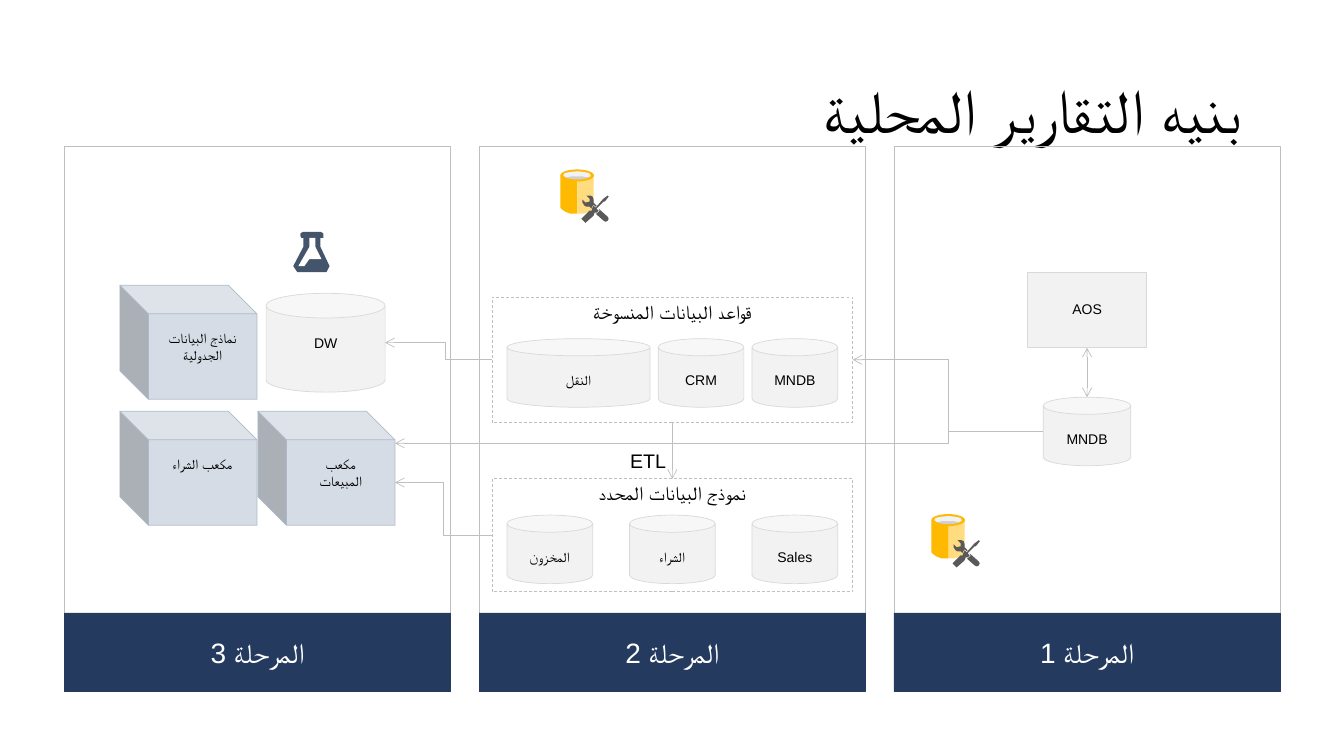
from lxml import etree
from pptx import Presentation
from pptx.dml.color import RGBColor
from pptx.enum.dml import MSO_LINE
from pptx.enum.shapes import MSO_CONNECTOR, MSO_SHAPE
from pptx.enum.text import MSO_ANCHOR, PP_ALIGN
from pptx.oxml.ns import qn
from pptx.util import Pt

RECT, CAN, CUBE, OVAL = MSO_SHAPE.RECTANGLE, MSO_SHAPE.CAN, MSO_SHAPE.CUBE, MSO_SHAPE.OVAL
STRAIGHT, ELBOW = MSO_CONNECTOR.STRAIGHT, MSO_CONNECTOR.ELBOW
TOP, MIDDLE = MSO_ANCHOR.TOP, MSO_ANCHOR.MIDDLE
CENTER, RIGHT = PP_ALIGN.CENTER, PP_ALIGN.RIGHT
DASH = MSO_LINE.DASH

COLORS = {
    "black": "000000", "white": "FFFFFF", "navy": "243A5E", "frame": "BFBFBF",
    "gray": "F2F2F2", "gray_line": "D9D9D9", "cube": "D6DCE5", "cube_line": "ADB9CA",
    "flask": "44546A", "gold": "FFB900", "pale_gold": "FFDC80",
    "lid_shade": "D0CECE", "tool": "595959",
}
STAGE_W, STAGE_H, BAR_H = 275.8, 388.8, 56.2
STAGE_X, STAGE_Y, STAGE_STEP = 46.1, 104.4, 296.25
CAN_H = 49
UNIT = 0.72

FLASK = [(27, 6), (29.5, 5.5), (30, 4), (30, 2), (29, 0.6), (27, 0), (10, 0), (7.5, 0.6),
         (7, 2), (7, 4), (8, 5.6), (10, 6), (10, 15), (0, 34), (4, 40), (33, 40),
         (36.5, 34), (27, 15)]
FLASK_GLASS = [(28, 27), (16, 27), (11, 34), (5, 34), (16, 15), (16, 6), (22, 6), (22, 15)]
BARREL = [(0, 6), (0, 38), (1.5, 40.5), (5, 42.5), (10, 43.6), (16.7, 44), (16.7, 6)]
LID_LIGHT = [(27, 8), (29.5, 6.7), (30, 6), (29, 4.5), (25, 2.8), (17, 2), (8, 2.8),
             (4, 4.5), (3, 6), (4, 7), (6, 8), (11, 7.2), (17, 7), (22, 7.2)]
TOOLS = [
    [(43, 32), (44, 32), (45, 31), (48, 27), (47, 26), (43, 29), (42, 30), (35, 38),
     (33, 36), (32, 38), (31, 41), (29, 41), (21, 49), (25, 53), (33, 46), (34, 43),
     (36, 43), (38, 41), (36, 39)],
    [(43, 51), (45, 51.8), (47, 51), (47.5, 49), (47, 47), (38, 39), (39, 41), (38, 42),
     (37, 43), (36, 44), (35, 44)],
    [(32, 27), (29.5, 25.5), (26, 26), (29, 29), (29, 32), (25, 33), (22, 30), (22, 33),
     (24, 36), (26.5, 37.3), (29, 37), (31, 39), (31, 38), (33, 35), (35, 37), (36, 36),
     (33, 33), (33.3, 30)],
]


def rgb(name):
    return RGBColor.from_string(COLORS[name])


def put(obj, values):
    for name, value in values.items():
        setattr(obj, name, value)


def paint(sp, fill=None, line=None, dash=None):
    sp.shadow.inherit = False
    if fill:
        sp.fill.solid()
        sp.fill.fore_color.rgb = rgb(fill)
    else:
        sp.fill.background()
    if line:
        sp.line.color.rgb = rgb(line)
        sp.line.width = Pt(0.5)
        if dash:
            sp.line.dash_style = dash
    else:
        sp.line.fill.background()


def write(sp, text, size, color="black", anchor=TOP, align=CENTER, spacing=1.0,
          inset=(7.2, 3.6), wrap=True):
    tf = sp.text_frame
    side, edge = map(Pt, inset)
    put(tf, {"word_wrap": wrap, "vertical_anchor": anchor, "margin_left": side,
             "margin_right": side, "margin_top": edge, "margin_bottom": edge})
    p = tf.paragraphs[0]
    put(p, {"alignment": align, "line_spacing": spacing})
    p._p.get_or_add_pPr().set("rtl", "1")
    r = p.add_run()
    r.text = text
    put(r.font, {"size": Pt(size), "name": "Arial"})
    r.font.color.rgb = rgb(color)
    etree.SubElement(r._r.get_or_add_rPr(), qn("a:cs"), typeface="Arial")


def add_box(s, kind, x, y, w, h, fill=None, line=None, dash=None):
    sp = s.shapes.add_shape(kind, Pt(x), Pt(y), Pt(w), Pt(h))
    paint(sp, fill, line, dash)
    return sp


def add_can(s, text, x, y, w, h=CAN_H, side=14.4):
    sp = add_box(s, CAN, x, y, w, h, "gray", "gray_line")
    write(sp, text, 10, inset=(side, 11.5))
    return sp


def add_cube(s, text, x, y):
    sp = add_box(s, CUBE, x, y, 97.9, 81.4, "cube", "cube_line")
    sp._element.spPr.find(qn("a:xfrm")).set("flipH", "1")
    write(sp, text, 10, inset=(14.4, 11.5))
    return sp


def add_outline(s, points, x, y, fill):
    fb = s.shapes.build_freeform(*points[0], scale=Pt(UNIT))
    fb.add_line_segments(points[1:], close=True)
    paint(fb.convert_to_shape(Pt(x), Pt(y)), fill)


def add_database_icon(s, x, y):
    add_outline(s, BARREL, x, y, "gold")
    add_outline(s, [(33.4 - px, py) for px, py in BARREL], x, y, "pale_gold")
    add_box(s, OVAL, x, y, 33.4 * UNIT, 12 * UNIT, "gold")
    add_box(s, OVAL, x + 3.4 * UNIT, y + 2 * UNIT, 26.6 * UNIT, 8 * UNIT, "lid_shade")
    add_outline(s, LID_LIGHT, x, y, "gray")
    for tool in TOOLS:
        add_outline(s, tool, x, y, "tool")


def add_stage(s, text, x, y):
    add_box(s, RECT, x, y, STAGE_W, STAGE_H, line="frame")
    bar = add_box(s, RECT, x, y + STAGE_H - BAR_H + 0.8, STAGE_W, BAR_H, "navy", "navy")
    write(bar, text, 20, "white", MIDDLE)


def add_source_stage(s, x, y):
    add_stage(s, "المرحلة 1", x, y)
    mndb = add_can(s, "MNDB", x + 106.6, y + 179.3, 62.6)
    aos = add_box(s, RECT, x + 95.4, y + 90, 85, 54, "gray", "gray_line")
    write(aos, "AOS", 10, anchor=MIDDLE, spacing=0.9, inset=(14.4, 11.5))
    add_database_icon(s, x + 26.7, y + 262.8)
    return aos, mndb


def add_database_group(s, title, x, y, h, can_top, cans):
    group = add_box(s, RECT, x, y, 257.8, h, line="frame", dash=DASH)
    write(group, title, 14, spacing=0.9)
    for text, left, w, side in cans:
        add_can(s, text, x + left, y + can_top, w, side=side)
    return group


def add_model_stage(s, x, y):
    add_stage(s, "المرحلة 2", x, y)
    copied = add_database_group(
        s, "قواعد البيانات المنسوخة", x + 9, y + 108, 89.3, 29.5,
        [("MNDB", 185.8, 61.2, 14.4), ("CRM", 118.8, 61.2, 14.4), ("النقل", 10.8, 102.2, 14.4)])
    model = add_database_group(
        s, "نموذج البيانات المحدد", x + 9, y + 237.6, 80.6, 25.9,
        [("Sales", 185.8, 61.2, 14.4), ("الشراء", 98.3, 61.2, 7.2), ("المخزون", 10.8, 61.2, 7.2)])
    add_database_icon(s, x + 57.9, y + 16.6)
    return copied, model


def add_report_stage(s, x, y):
    add_stage(s, "المرحلة 3", x, y)
    add_cube(s, "مكعب الشراء", x + 39.6, y + 189.4)
    sales = add_cube(s, "مكعب المبيعات", x + 138.2, y + 189.4)
    add_cube(s, "نماذج البيانات الجدولية", x + 39.6, y + 99.4)
    dw = add_can(s, "DW", x + 144, y + 105.1, 85, 70.6)
    add_outline(s, FLASK, x + 163.4, y + 61.2, "flask")
    add_outline(s, FLASK_GLASS, x + 163.4, y + 61.2, "white")
    return sales, dw


def at(sp, across, down):
    return sp.left + int(sp.width * across), sp.top + int(sp.height * down)


def add_arrow(s, kind, start, end, bend=None, both=False):
    c = s.shapes.add_connector(kind, *start, *end)
    c.line.color.rgb = rgb("frame")
    c.line.width = Pt(0.5)
    ln = c.line._get_or_add_ln()
    for tag in ["a:headEnd"] * both + ["a:tailEnd"]:
        etree.SubElement(ln, qn(tag), type="arrow")
    spPr = c._element.spPr
    etree.SubElement(spPr, qn("a:effectLst"))
    if bend:
        guides = spPr.find(qn("a:prstGeom")).find(qn("a:avLst"))
        etree.SubElement(guides, qn("a:gd"), name="adj1", fmla=f"val {bend}")
    return c


def add_flows(s, aos, mndb, copied, model, sales, dw):
    c = add_arrow(s, STRAIGHT, at(aos, 0.5, 1), at(mndb, 0.5, 0), both=True)
    c.begin_connect(aos, 2)
    c = add_arrow(s, STRAIGHT, at(copied, 0.5, 1), at(model, 0.5, 0))
    c.begin_connect(copied, 2)
    c.end_connect(model, 0)
    for start, end, bend in [
        (at(mndb, 0, 0.5), at(copied, 1, 0.5), 50000),
        (at(copied, 0, 0.5), at(dw, 1, 0.5), 44000),
        (at(model, 0, 0.5), at(sales, 1, 0.625), 50000),
        (at(mndb, 0, 0.5), at(sales, 1, 0.28), 14700),
    ]:
        add_arrow(s, ELBOW, start, end, bend)


def add_title(s, x, y, w, h):
    sp = s.shapes.add_textbox(Pt(x), Pt(y), Pt(w), Pt(h))
    write(sp, "بنيه التقارير المحلية", 44, anchor=MIDDLE, align=RIGHT, spacing=0.9)


def main():
    prs = Presentation()
    put(prs, {"slide_width": Pt(960), "slide_height": Pt(540)})
    s = prs.slides.add_slide(prs.slide_layouts[6])
    add_title(s, 66, 28.8, 828, 104.4)
    report_x, model_x, source_x = [STAGE_X + i * STAGE_STEP for i in range(3)]
    aos, mndb = add_source_stage(s, source_x, STAGE_Y)
    copied, model = add_model_stage(s, model_x, STAGE_Y)
    sales, dw = add_report_stage(s, report_x, STAGE_Y)
    add_flows(s, aos, mndb, copied, model, sales, dw)
    etl = add_box(s, RECT, model_x + 107.6, STAGE_Y + 218.2, 25.9, 15.1, "white")
    write(etl, "ETL", 14, align=RIGHT, spacing=0.9, inset=(0, 0), wrap=False)
    prs.save("out.pptx")


if __name__ == "__main__":
    main()
